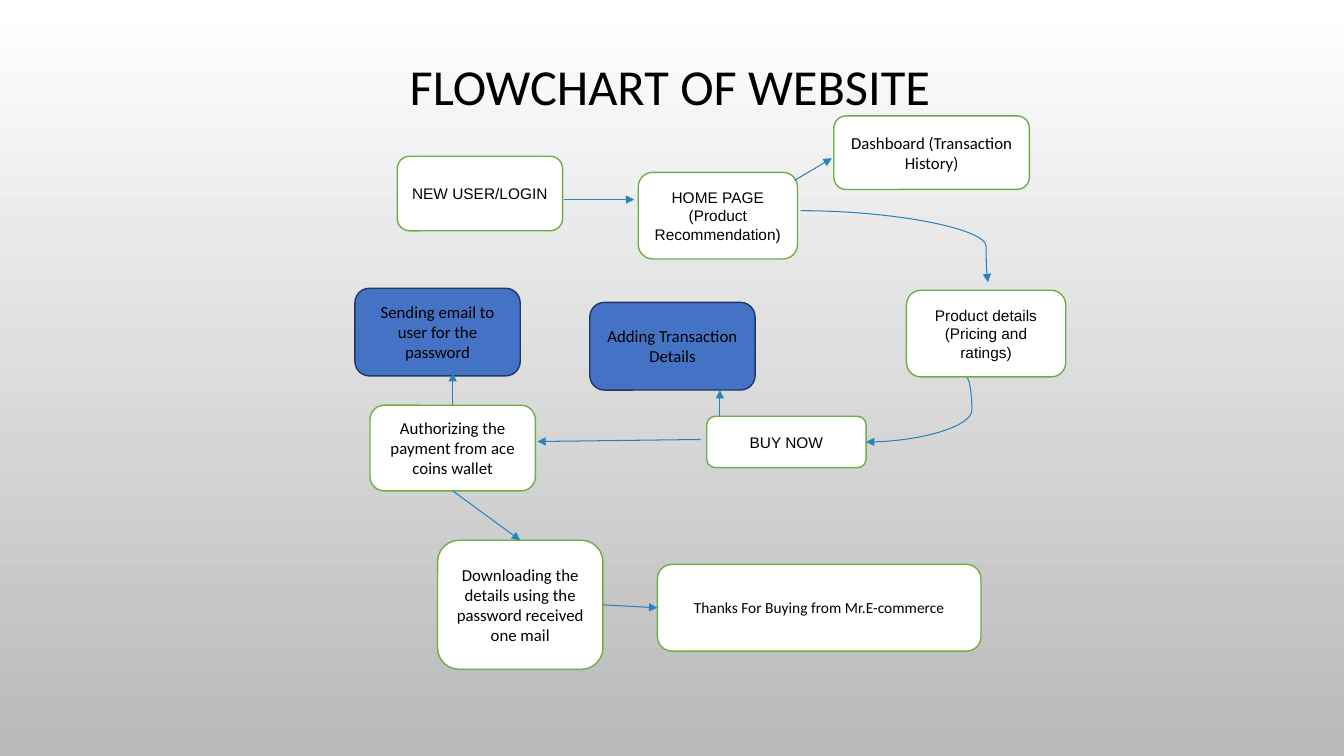
import pptx
import pptx.dml.color
import pptx.enum.shapes
import pptx.enum.text
import pptx.oxml
import pptx.oxml.ns
import pptx.util
from pptx.util import Inches

CONNECTOR = pptx.enum.shapes.MSO_CONNECTOR
TOP, LEFT, BOTTOM, RIGHT = range(4)


def rgb(hex_color):
    return pptx.dml.color.RGBColor.from_string(hex_color)


def append_element(parent, tag, **attributes):
    element = pptx.oxml.parse_xml(f"<{tag} {pptx.oxml.ns.nsdecls('a')}/>")
    for key, value in attributes.items():
        element.set(key, value)
    parent.append(element)


class Flowchart:
    INK = "000000"
    ARROW = "2683BF"
    PAGE = ("FFFFFF", "70AD47")
    BACKEND = ("4472C4", "1F3763")

    def __init__(self, slide):
        self.slide = slide

    def background(self, *colors):
        fill = self.slide.background.fill
        fill.gradient()
        fill.gradient_angle = 270
        for stop, color in zip(fill.gradient_stops, colors):
            stop.color.rgb = rgb(color)

    def label(self, frame, text, size, font):
        frame.text = text
        frame.vertical_anchor = pptx.enum.text.MSO_ANCHOR.MIDDLE
        for paragraph in frame.paragraphs:
            paragraph.alignment = pptx.enum.text.PP_ALIGN.CENTER
            for run in paragraph.runs:
                run.font.size = pptx.util.Pt(size)
                run.font.name = font
                run.font.color.rgb = rgb(self.INK)

    def title(self, text, left, top, width, height):
        heading = self.slide.shapes.title
        heading.left, heading.top = Inches(left), Inches(top)
        heading.width, heading.height = Inches(width), Inches(height)
        self.label(heading.text_frame, text, 36, "Calibri")
        heading.text_frame.auto_size = pptx.enum.text.MSO_AUTO_SIZE.NONE
        heading.text_frame.paragraphs[0].line_spacing = 0.9

    def step(self, text, left, top, width, height, size=12, font="Calibri", style=PAGE):
        box = self.slide.shapes.add_shape(
            pptx.enum.shapes.MSO_SHAPE.ROUNDED_RECTANGLE,
            Inches(left), Inches(top), Inches(width), Inches(height))
        fill, outline = style
        box.shadow.inherit = False
        box.fill.solid()
        box.fill.fore_color.rgb = rgb(fill)
        box.line.color.rgb = rgb(outline)
        box.line.width = pptx.util.Pt(1)
        self.label(box.text_frame, text, size, font)
        return box

    def arrow(self, start, end, begin=None, finish=None, bend=None):
        """Draw an arrow; begin and finish are (box, side), bend curves it."""
        kind = CONNECTOR.STRAIGHT if bend is None else CONNECTOR.CURVE
        link = self.slide.shapes.add_connector(kind, *map(Inches, start + end))
        if begin:
            link.begin_connect(*begin)
        if finish:
            link.end_connect(*finish)
        link.line.color.rgb = rgb(self.ARROW)
        link.line.width = pptx.util.Pt(0.75)
        properties = link._element.spPr
        append_element(properties.find(pptx.oxml.ns.qn("a:ln")), "a:tailEnd", type="triangle")
        append_element(properties, "a:effectLst")
        if bend is not None:
            guides = properties.find(".//" + pptx.oxml.ns.qn("a:avLst"))
            append_element(guides, "a:gd", name="adj1", fmla=f"val {round(bend * 100000)}")


def main():
    deck = pptx.Presentation()
    deck.slide_width, deck.slide_height = Inches(13.33), Inches(7.5)
    chart = Flowchart(deck.slides.add_slide(deck.slide_layouts[5]))
    chart.background("FFFFFF", "B9B9B9")
    chart.title("FLOWCHART OF WEBSITE", 0.98, 0.16, 11.33, 1.44)

    chart.step("NEW USER/LOGIN", 3.94, 1.55, 1.64, 0.74, 11, "Arial")
    chart.step("HOME PAGE\n(Product Recommendation)", 6.33, 1.71, 1.58, 0.86, 11, "Arial")
    chart.step("Product details\n(Pricing and ratings)", 8.99, 2.88, 1.58, 0.86, 11, "Arial")
    buy_now = chart.step("BUY NOW", 7.01, 4.13, 1.58, 0.51, 11, "Arial")
    chart.step("Dashboard (Transaction History)", 8.27, 1.15, 1.94, 0.73)
    chart.step("Adding Transaction Details", 5.85, 3, 1.64, 0.87, style=chart.BACKEND)
    payment = chart.step("Authorizing the payment from ace coins wallet", 3.67, 4.02, 1.64, 0.85)
    download = chart.step("Downloading the details using the password received one mail",
                          4.34, 5.36, 1.64, 1.28)
    chart.step("Sending email to user for the password", 3.52, 2.86, 1.64, 0.87,
               style=chart.BACKEND)
    thanks = chart.step("Thanks For Buying from Mr.E-commerce", 6.52, 5.6, 3.21, 0.86, 11)

    chart.arrow((5.59, 1.98), (6.29, 1.98))
    chart.arrow((7.88, 1.79), (8.25, 1.57))
    chart.arrow((7.94, 2.09), (9.8, 2.8), bend=0.99)
    chart.arrow((9.59, 3.75), (8.59, 4.38), finish=(buy_now, RIGHT), bend=-0.05)
    chart.arrow((7.14, 4.13), (7.14, 3.87))
    chart.arrow((6.95, 4.36), (5.33, 4.38))
    chart.arrow((4.49, 4.02), (4.49, 3.7), begin=(payment, TOP))
    chart.arrow((4.49, 4.87), (5.16, 5.36), (payment, BOTTOM), (download, TOP))
    chart.arrow((5.98, 6), (6.52, 6), (download, RIGHT), (thanks, LEFT))

    deck.save("out.pptx")


if __name__ == "__main__":
    main()
